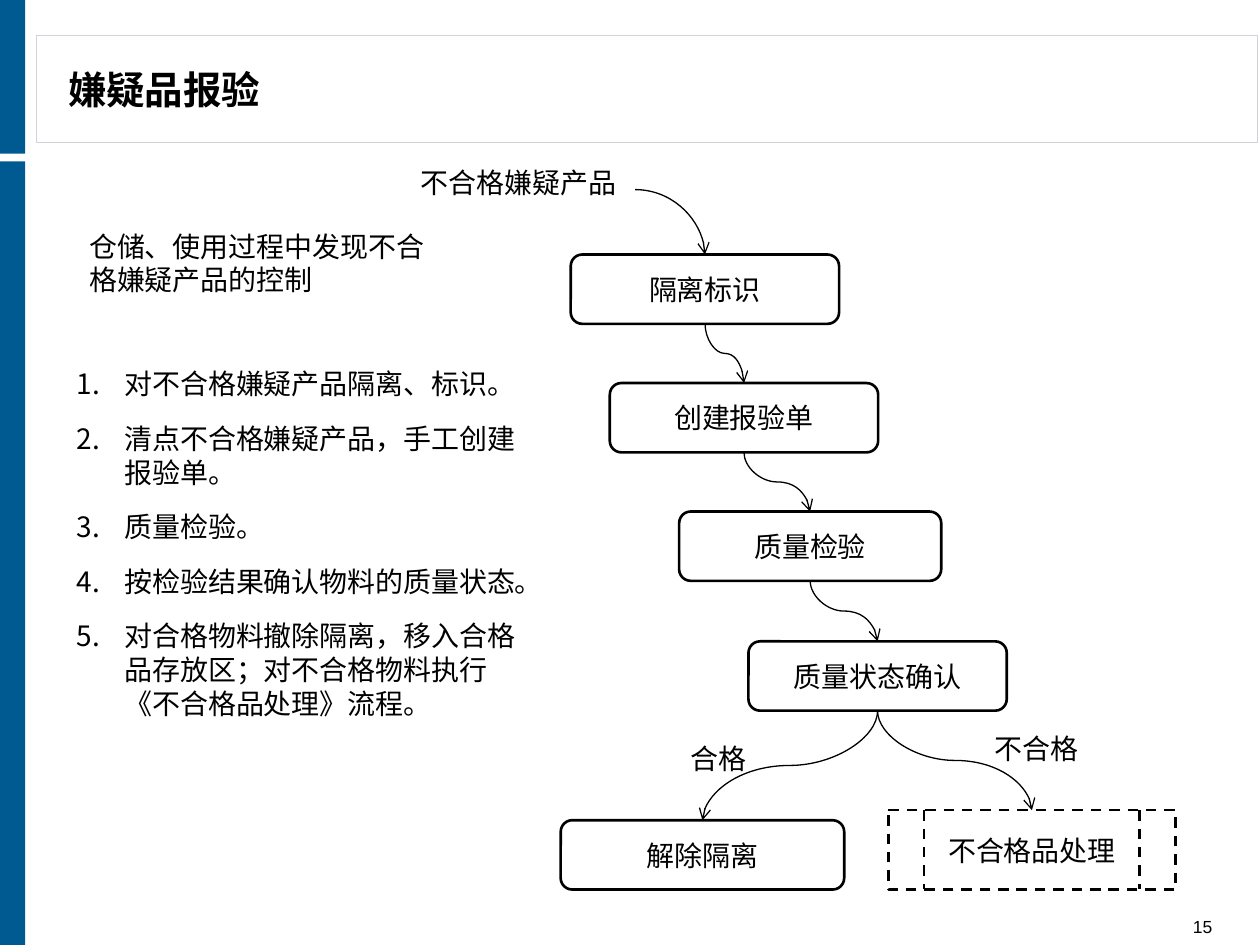
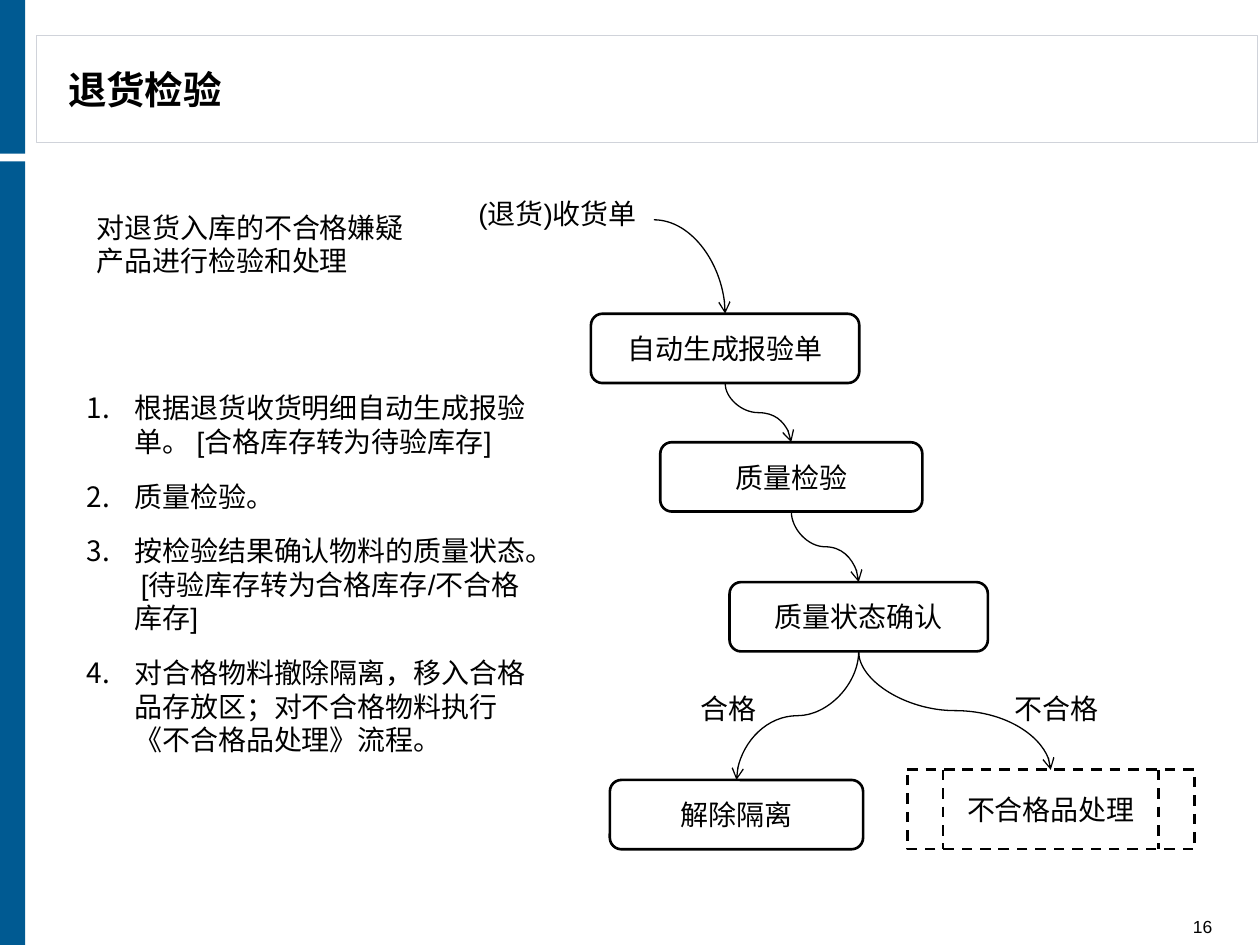
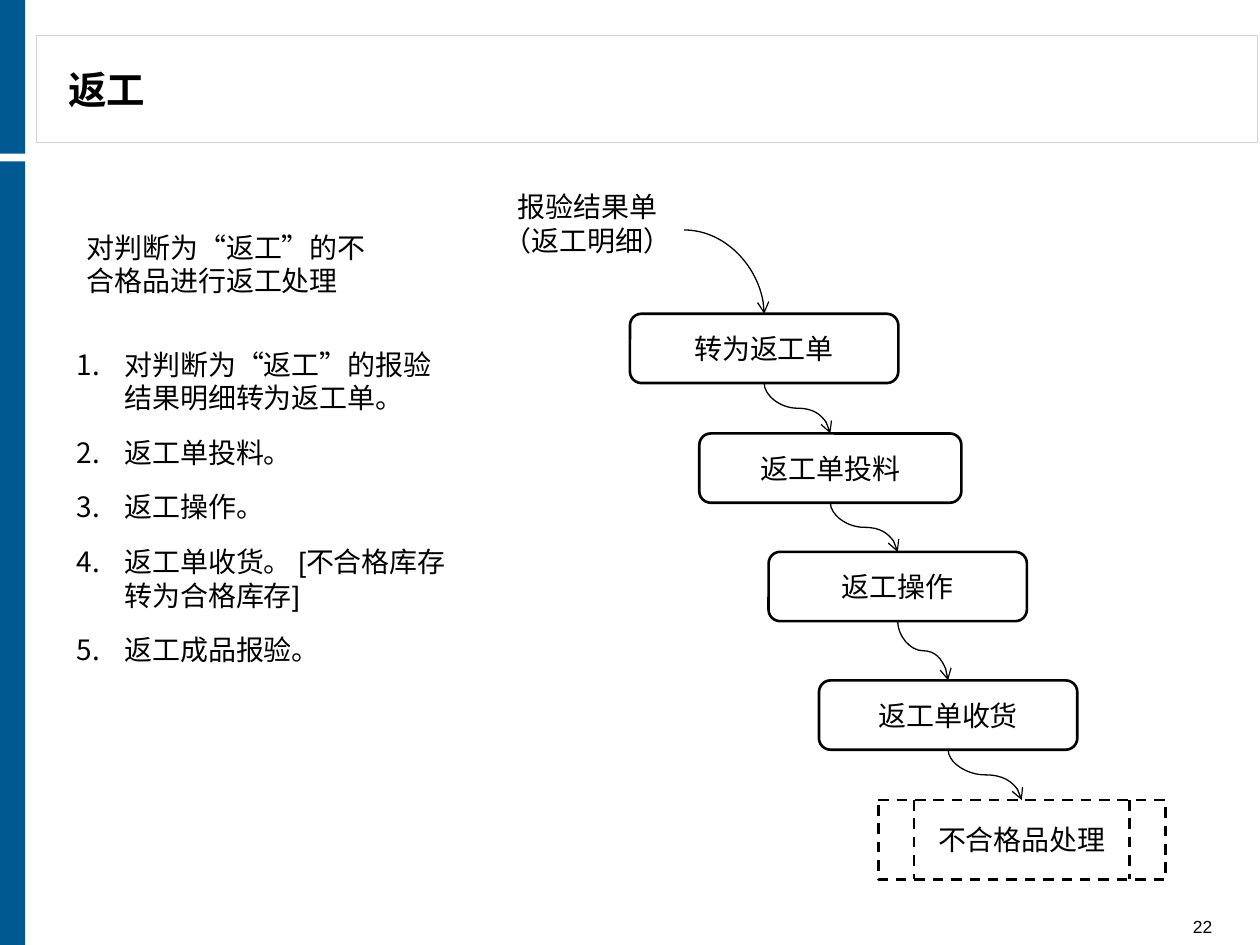
from lxml import etree
from pptx import Presentation
from pptx.dml.color import RGBColor
from pptx.enum.dml import MSO_LINE
from pptx.enum.lang import MSO_LANGUAGE_ID
from pptx.enum.shapes import MSO_CONNECTOR, MSO_SHAPE
from pptx.enum.text import MSO_ANCHOR, PP_ALIGN
from pptx.oxml.ns import qn
from pptx.util import Inches, Pt

BLACK, WHITE, BLUE, GREY = "000000", "FFFFFF", "005A92", "D0D3DA"
FONT = "Arial"
STEP_HEIGHT = 0.55
TOP, BOTTOM, RIGHT = 0, 2, 3  # connection sites

FLOWS = [
    {
        "title": "嫌疑品报验", "number": "15",
        "purpose": ("仓储、使用过程中发现不合格嫌疑产品的控制", 0.61, 1.77, 2.97),
        "notes": [
            "对不合格嫌疑产品隔离、标识。",
            "清点不合格嫌疑产品，手工创建报验单。",
            "质量检验。",
            "按检验结果确认物料的质量状态。",
            "对合格物料撤除隔离，移入合格品存放区；对不合格物料执行《不合格品处理》流程。",
        ],
        "notes_at": (0.51, 2.49, 3.7, 4.02), "notes_inset": 0.42,
        "source": ("不合格嫌疑产品", 3.19, 1.23, 1.85),
        "steps": [
            ("隔离标识", 4.53, 2.02, 2.13),
            ("创建报验单", 4.84, 3.04, 2.13),
            ("质量检验", 5.39, 4.06, 2.08),
            ("质量状态确认", 5.94, 5.09, 2.05),
        ],
        "release": ("解除隔离", 4.45, 6.51, 2.25),
        "reject": (7.05, 6.43),
        "labels": [("不合格", 7.36, 5.72, 1.73), ("合格", 4.84, 5.8, 1.73)],
    },
    {
        "title": "退货检验", "number": "16",
        "purpose": ("对退货入库的不合格嫌疑产品进行检验和处理", 0.67, 1.62, 2.83),
        "notes": [
            "根据退货收货明细自动生成报验单。 [合格库存转为待验库存]",
            "质量检验。",
            "按检验结果确认物料的质量状态。 [待验库存转为合格库存/不合格库存]",
            "对合格物料撤除隔离，移入合格品存放区；对不合格物料执行《不合格品处理》流程。",
        ],
        "notes_at": (0.59, 2.88, 3.78, 4.17), "notes_inset": 0,
        "source": ("(退货)收货单", 3.66, 1.47, 1.53),
        "steps": [
            ("自动生成报验单", 4.69, 2.49, 2.13),
            ("质量检验", 5.24, 3.51, 2.08),
            ("质量状态确认", 5.79, 4.62, 2.05),
        ],
        "release": ("解除隔离", 4.84, 6.19, 2.01),
        "reject": (7.2, 6.11),
        "labels": [("合格", 4.92, 5.4, 1.73), ("不合格", 7.52, 5.4, 1.73)],
    },
    {
        "title": "返工", "number": "22",
        "purpose": ("对判断为“返工”的不合格品进行返工处理", 0.59, 1.78, 2.5),
        "notes": [
            "对判断为“返工”的报验结果明细转为返工单。",
            "返工单投料。",
            "返工操作。",
            "返工单收货。 [不合格库存转为合格库存]",
            "返工成品报验。",
        ],
        "notes_at": (0.51, 2.57, 3.15, 3.62), "notes_inset": 0,
        "source": ("报验结果单（返工明细）", 3.9, 1.55, 1.53),
        "steps": [
            ("转为返工单", 5, 2.49, 2.13),
            ("返工单投料", 5.55, 3.44, 2.08),
            ("返工操作", 6.1, 4.38, 2.05),
            ("返工单收货", 6.5, 5.4, 2.05),
        ],
        "release": None,
        "reject": (6.97, 6.35),
        "labels": [],
    },
]


def color(value):
    return RGBColor.from_string(value)


def add_span(para, text, size=16, bold=False):
    span = para.add_run()
    span.text = text
    font = span.font
    font.name, font.size, font.bold = FONT, Pt(size), bold
    font.color.rgb = color(BLACK)
    font.language_id = MSO_LANGUAGE_ID.SIMPLIFIED_CHINESE


def set_frame(frame, anchor=MSO_ANCHOR.MIDDLE, top_inset=0):
    frame.word_wrap = True
    frame.vertical_anchor = anchor
    frame.margin_left = frame.margin_right = Inches(0.1)
    frame.margin_top, frame.margin_bottom = Inches(top_inset), 0


def add_box(page, kind, at, fill=None, line=None, width=0.75):
    box = page.shapes.add_shape(kind, *[Inches(v) for v in at])
    box.shadow.inherit = False
    if fill:
        box.fill.solid()
        box.fill.fore_color.rgb = color(fill)
    else:
        box.fill.background()
    if line:
        box.line.color.rgb = color(line)
        box.line.width = Pt(width)
    else:
        box.line.fill.background()
    return box


def add_centred(page, kind, text, at, **style):
    box = add_box(page, kind, at, **style)
    set_frame(box.text_frame)
    para = box.text_frame.paragraphs[0]
    para.alignment = PP_ALIGN.CENTER
    add_span(para, text)
    return box


def add_step(page, text, left, top, width):
    return add_centred(page, MSO_SHAPE.ROUNDED_RECTANGLE, text,
                       (left, top, width, STEP_HEIGHT),
                       fill=WHITE, line=BLACK, width=1.5)


def add_reject(page, left, top):
    box = add_centred(page, MSO_SHAPE.FLOWCHART_PREDEFINED_PROCESS, "不合格品处理",
                      (left, top, 2.28, 0.63), fill=WHITE, line=BLACK, width=1.5)
    box.line.dash_style = MSO_LINE.DASH
    return box


def add_label(page, text, left, top, width, fill=None):
    return add_centred(page, MSO_SHAPE.FLOWCHART_DOCUMENT, text,
                       (left, top, width, STEP_HEIGHT), fill=fill)


def add_arrow(page, start, start_site, end):
    """Curve from one side of start to the top of end."""
    arrow = page.shapes.add_connector(MSO_CONNECTOR.CURVE, 0, 0, 0, 0)
    arrow.begin_connect(start, start_site)
    arrow.end_connect(end, TOP)
    x1, y1, x2, y2 = arrow.begin_x, arrow.begin_y, arrow.end_x, arrow.end_y
    properties = arrow._element.spPr
    if start_site == RIGHT:
        properties.find(qn("a:prstGeom")).set("prst", "curvedConnector2")
    else:
        # A curve that leaves downwards is a turned sideways curve
        across, down = abs(x2 - x1), y2 - y1
        frame = properties.find(qn("a:xfrm"))
        for flip in ("flipH", "flipV"):
            frame.attrib.pop(flip, None)
        arrow.left, arrow.top = (x1 + x2 - down) // 2, (y1 + y2 - across) // 2
        arrow.width, arrow.height = down, across
        if x2 > x1:
            frame.set("rot", "16200000")
            frame.set("flipH", "1")
        else:
            frame.set("rot", "5400000")
    arrow.line.color.rgb = color(BLACK)
    arrow.line.width = Pt(0.75)
    line = properties.find(qn("a:ln"))
    etree.SubElement(line, qn("a:tailEnd"), type="arrow")
    etree.SubElement(properties, qn("a:effectLst"))


def add_notes_list(page, notes, at, top_inset):
    box = add_box(page, MSO_SHAPE.FLOWCHART_DOCUMENT, at, fill=WHITE)
    frame = box.text_frame
    set_frame(frame, top_inset=top_inset)
    for index, note in enumerate(notes):
        para = frame.add_paragraph() if index else frame.paragraphs[0]
        para.alignment = PP_ALIGN.LEFT
        para.space_before = para.space_after = Pt(6)
        add_span(para, note)
        properties = para._p.get_or_add_pPr()
        indent = Inches(0.38)
        properties.set("marL", str(indent))
        properties.set("indent", str(-indent))
        etree.SubElement(properties, qn("a:buFont"), typeface="+mj-lt")
        etree.SubElement(properties, qn("a:buAutoNum"), type="arabicPeriod")


def add_purpose(page, text, left, top, width):
    box = page.shapes.add_textbox(Inches(left), Inches(top), Inches(width), Inches(0.64))
    box.text_frame.word_wrap = True
    add_span(box.text_frame.paragraphs[0], text)


def add_page(deck, title, number):
    """Page with title panel, side bands, title and page number."""
    page = deck.slides.add_slide(deck.slide_layouts[5])
    add_box(page, MSO_SHAPE.RECTANGLE, (0.29, 0.28, 9.69, 0.85), fill=WHITE, line=GREY)
    for top, height in ((1.28, 6.22), (0, 1.22)):
        add_box(page, MSO_SHAPE.RECTANGLE, (0, top, 0.2, height), fill=BLUE)

    heading = page.shapes.title
    heading.left, heading.top = Inches(0.44), Inches(0.31)
    heading.width, heading.height = Inches(6.3), Inches(0.79)
    set_frame(heading.text_frame)
    para = heading.text_frame.paragraphs[0]
    para.alignment = PP_ALIGN.LEFT
    add_span(para, title, 22, True)
    # Bring the title in front of its panel
    page.shapes._spTree.append(heading._element)

    box = page.shapes.add_textbox(Inches(8.78), Inches(7.26), Inches(0.94), Inches(0.18))
    set_frame(box.text_frame, MSO_ANCHOR.BOTTOM)
    para = box.text_frame.paragraphs[0]
    para.alignment = PP_ALIGN.RIGHT
    add_span(para, number, 10)
    return page


def add_flow(page, flow):
    # Explanation on the left
    add_notes_list(page, flow["notes"], flow["notes_at"], flow["notes_inset"])
    add_purpose(page, *flow["purpose"])

    # Source document and chain of steps
    source = add_label(page, *flow["source"], fill=WHITE)
    steps = [add_step(page, *step) for step in flow["steps"]]
    add_arrow(page, source, RIGHT, steps[0])
    for start, end in zip(steps, steps[1:]):
        add_arrow(page, start, BOTTOM, end)

    # Outcomes
    outcomes = [add_reject(page, *flow["reject"])]
    if flow["release"]:
        outcomes.append(add_step(page, *flow["release"]))
    for outcome in outcomes:
        add_arrow(page, steps[-1], BOTTOM, outcome)
    for label in flow["labels"]:
        add_label(page, *label)


def main():
    deck = Presentation()
    deck.slide_width, deck.slide_height = Inches(10), Inches(7.5)
    for flow in FLOWS:
        page = add_page(deck, flow["title"], flow["number"])
        add_flow(page, flow)
    deck.save("out.pptx")


if __name__ == "__main__":
    main()
